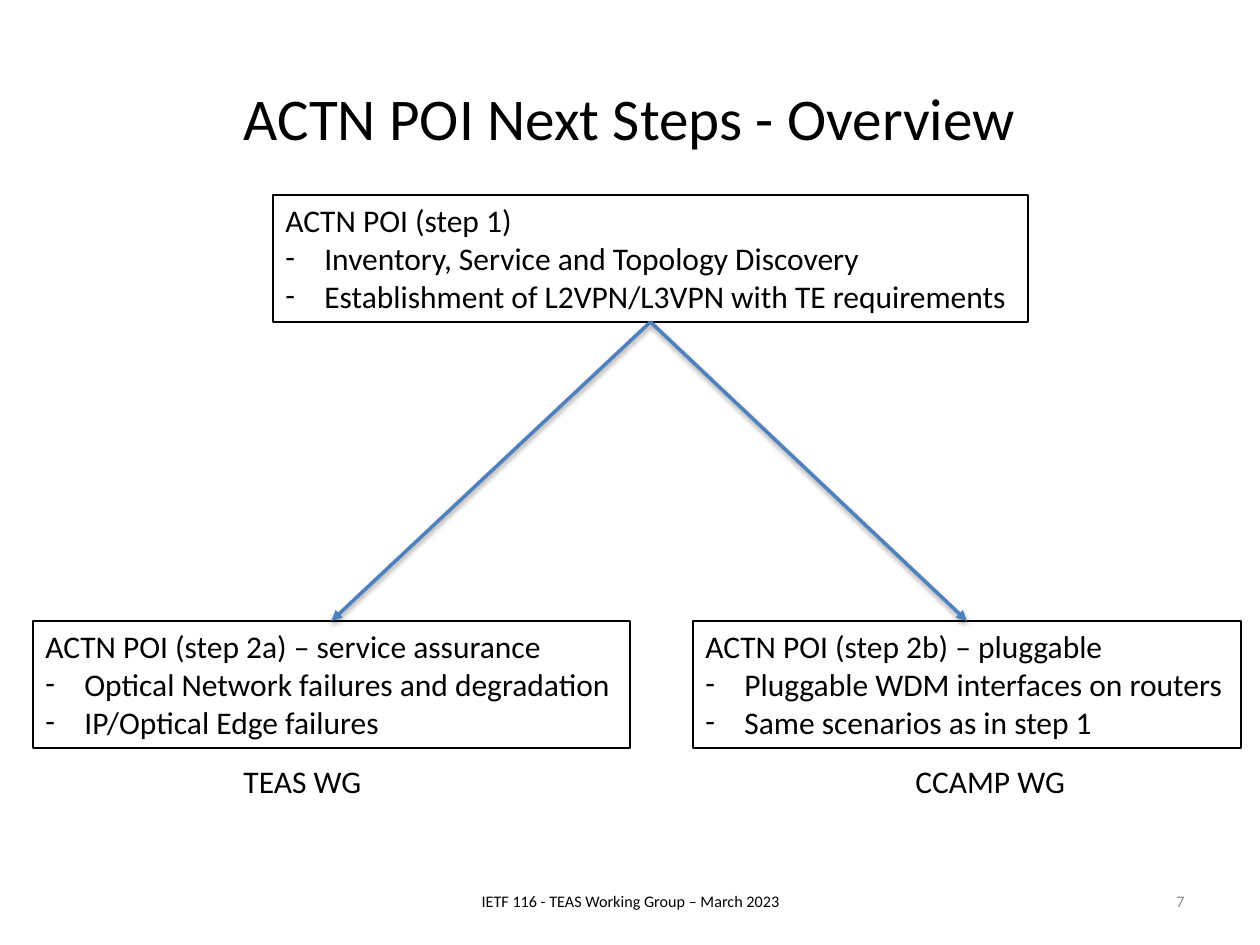
from lxml import etree
from pptx import Presentation
from pptx.dml.color import RGBColor
from pptx.enum.shapes import MSO_CONNECTOR, MSO_SHAPE
from pptx.enum.text import MSO_ANCHOR, MSO_AUTO_SIZE, PP_ALIGN
from pptx.oxml import parse_xml
from pptx.oxml.ns import nsdecls, qn
from pptx.util import Pt

PIXEL = 914400 // 126
BLACK = RGBColor(0x00, 0x00, 0x00)
GRAY = RGBColor(0x8C, 0x8C, 0x8C)
BLUE = RGBColor(0x4F, 0x81, 0xBD)
LEFT, CENTER, RIGHT = PP_ALIGN.LEFT, PP_ALIGN.CENTER, PP_ALIGN.RIGHT
TOP, MIDDLE = MSO_ANCHOR.TOP, MSO_ANCHOR.MIDDLE
FIT_TEXT = MSO_AUTO_SIZE.SHAPE_TO_FIT_TEXT
RECTANGLE = MSO_SHAPE.RECTANGLE
STRAIGHT = MSO_CONNECTOR.STRAIGHT
BULLET_INDENT = 39 * PIXEL
SHADOW = (
    f'<a:effectLst {nsdecls("a")}>'
    '<a:outerShdw blurRad="40000" dist="20000" dir="5400000" rotWithShape="0">'
    '<a:srgbClr val="000000"><a:alpha val="38000"/></a:srgbClr>'
    '</a:outerShdw></a:effectLst>'
)


def add_text(paragraph, text, size, color=BLACK, alignment=LEFT):
    paragraph.alignment = alignment
    run = paragraph.add_run()
    run.text = text
    run.font.name = "Calibri"
    run.font.size = Pt(size)
    run.font.color.rgb = color


presentation = Presentation()
presentation.slide_width = 1260 * PIXEL
presentation.slide_height = 945 * PIXEL
slide = presentation.slides.add_slide(presentation.slide_layouts[6])
shapes = slide.shapes

labels = [
    ("ACTN POI Next Steps - Overview", (63, 38, 1134, 158), 33.8, BLACK, CENTER, MIDDLE, True),
    ("IETF 116 - TEAS Working Group – March 2023", (431, 876, 399, 50), 9.2, BLACK, CENTER, MIDDLE, True),
    ("7", (903, 876, 294, 50), 9.2, GRAY, RIGHT, MIDDLE, True),
    ("TEAS WG", (231, 756, 144, 50), 18, BLACK, LEFT, TOP, False),
    ("CCAMP WG", (903, 756, 176, 50), 18, BLACK, LEFT, TOP, False),
]
for text, bounds, size, color, alignment, anchor, wrap in labels:
    label = shapes.add_textbox(*(length * PIXEL for length in bounds))
    label.text_frame.word_wrap = wrap
    label.text_frame.vertical_anchor = anchor
    add_text(label.text_frame.paragraphs[0], text, size, color, alignment)

steps = [
    (273, 195, 755, "ACTN POI (step 1)",
     ["Inventory, Service and Topology Discovery",
      "Establishment of L2VPN/L3VPN with TE requirements"]),
    (33, 621, 597, "ACTN POI (step 2a) – service assurance",
     ["Optical Network failures and degradation", "IP/Optical Edge failures"]),
    (693, 621, 548, "ACTN POI (step 2b) – pluggable",
     ["Pluggable WDM interfaces on routers", "Same scenarios as in step 1"]),
]
step_boxes = []
for left, top, width, heading, bullets in steps:
    box = shapes.add_shape(RECTANGLE, left * PIXEL, top * PIXEL, width * PIXEL, 127 * PIXEL)
    box.shadow.inherit = False
    box.fill.background()
    box.line.color.rgb = BLACK
    box.line.width = Pt(0.75)
    frame = box.text_frame
    frame.word_wrap = False
    frame.auto_size = FIT_TEXT
    frame.vertical_anchor = TOP
    add_text(frame.paragraphs[0], heading, 18)
    for bullet in bullets:
        paragraph = frame.add_paragraph()
        add_text(paragraph, bullet, 18)
        properties = paragraph._p.get_or_add_pPr()
        properties.set("marL", str(BULLET_INDENT))
        properties.set("indent", str(-BULLET_INDENT))
        etree.SubElement(properties, qn("a:buFont"), typeface="Calibri")
        etree.SubElement(properties, qn("a:buChar"), char="-")
    step_boxes.append(box)

first_step, *next_steps = step_boxes
for next_step in next_steps:
    arrow = shapes.add_connector(
        STRAIGHT,
        first_step.left + first_step.width // 2, first_step.top + first_step.height,
        next_step.left + next_step.width // 2, next_step.top,
    )
    arrow.begin_connect(first_step, 2)
    arrow.end_connect(next_step, 0)
    arrow.line.color.rgb = BLUE
    arrow.line.width = Pt(2)
    etree.SubElement(arrow.line._get_or_add_ln(), qn("a:tailEnd"), type="triangle")
    arrow._element.spPr.append(parse_xml(SHADOW))

presentation.save("out.pptx")
